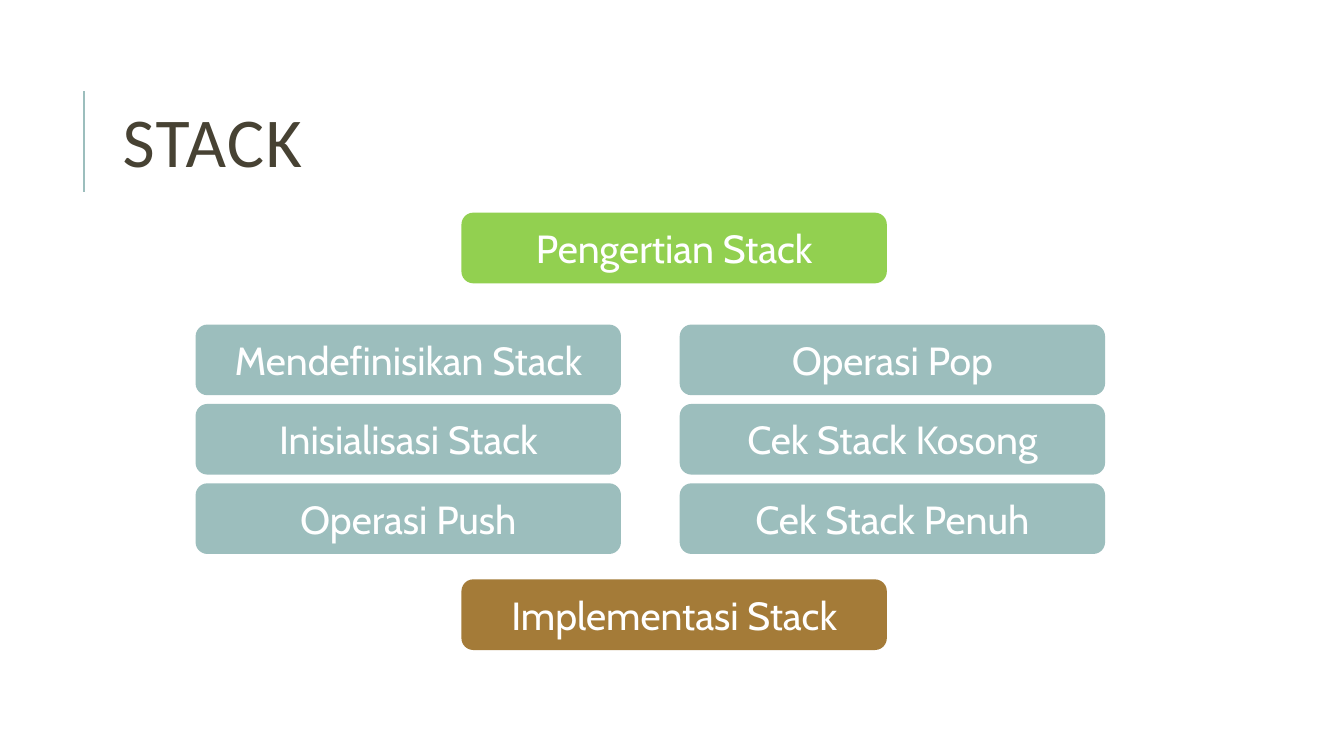
from pptx import Presentation
from pptx.dml.color import RGBColor
from pptx.enum.shapes import MSO_CONNECTOR, MSO_SHAPE
from pptx.enum.text import MSO_ANCHOR, PP_ALIGN
from pptx.oxml.ns import qn
from pptx.util import Cm, Pt
from lxml import etree

WHITE = RGBColor(0xFF, 0xFF, 0xFF)
DARK = RGBColor(0x47, 0x42, 0x33)
TEAL = RGBColor(0x9C, 0xBE, 0xBD)
GREEN = RGBColor(0x92, 0xD0, 0x50)
BROWN = RGBColor(0xA4, 0x7B, 0x38)

# Content
TITLE = "STACK"
INTRODUCTION = "Pengertian Stack"
TOPIC_COLUMNS = [
    ["Mendefinisikan Stack", "Inisialisasi Stack", "Operasi Push"],
    ["Operasi Pop", "Cek Stack Kosong", "Cek Stack Penuh"],
]
CLOSING = "Implementasi Stack"

# Layout in centimetres
BOX_WIDTH, BOX_HEIGHT = 10.72, 1.78
CENTRE_LEFT, INTRODUCTION_TOP, CLOSING_TOP = 11.63, 5.36, 14.6
GRID_LEFT, GRID_TOP = 4.93, 8.18
COLUMN_STEP, ROW_STEP = 12.2, 2

presentation = Presentation()
presentation.slide_width, presentation.slide_height = Cm(33.87), Cm(19.05)
slide = presentation.slides.add_slide(presentation.slide_layouts[6])


def add_text(shape, text, font_name, size, color):
    frame = shape.text_frame
    frame.word_wrap = True
    frame.vertical_anchor = MSO_ANCHOR.MIDDLE
    paragraph = frame.paragraphs[0]
    run = paragraph.add_run()
    run.text = text
    run.font.name = font_name
    run.font.size = Pt(size)
    run.font.color.rgb = color
    return paragraph, run


def add_topic(text, left, top, color):
    shape = slide.shapes.add_shape(
        MSO_SHAPE.ROUNDED_RECTANGLE, Cm(left), Cm(top), Cm(BOX_WIDTH), Cm(BOX_HEIGHT))
    shape.shadow.inherit = False
    shape.fill.solid()
    shape.fill.fore_color.rgb = color
    shape.line.fill.background()
    paragraph, _ = add_text(shape, text, "Cabin", 28, WHITE)
    paragraph.alignment = PP_ALIGN.CENTER


# Title with its vertical rule
rule = slide.shapes.add_connector(
    MSO_CONNECTOR.STRAIGHT, Cm(2.11), Cm(4.83), Cm(2.11), Cm(2.29))
rule.line.color.rgb = TEAL
rule.line.width = Pt(1.5)
etree.SubElement(rule._element.spPr, qn("a:effectLst"))

title_box = slide.shapes.add_textbox(Cm(2.84), Cm(1.63), Cm(27), Cm(4.17))
title_paragraph, title_run = add_text(title_box, TITLE, "Calibri", 50, DARK)
title_paragraph.line_spacing = 0.8
title_run._r.get_or_add_rPr().set("spc", "100")  # one point of letter spacing

# Introduction, topic grid and closing
add_topic(INTRODUCTION, CENTRE_LEFT, INTRODUCTION_TOP, GREEN)
for column, topics in enumerate(TOPIC_COLUMNS):
    for row, topic in enumerate(topics):
        add_topic(topic, GRID_LEFT + column * COLUMN_STEP, GRID_TOP + row * ROW_STEP, TEAL)
add_topic(CLOSING, CENTRE_LEFT, CLOSING_TOP, BROWN)

presentation.save("out.pptx")
